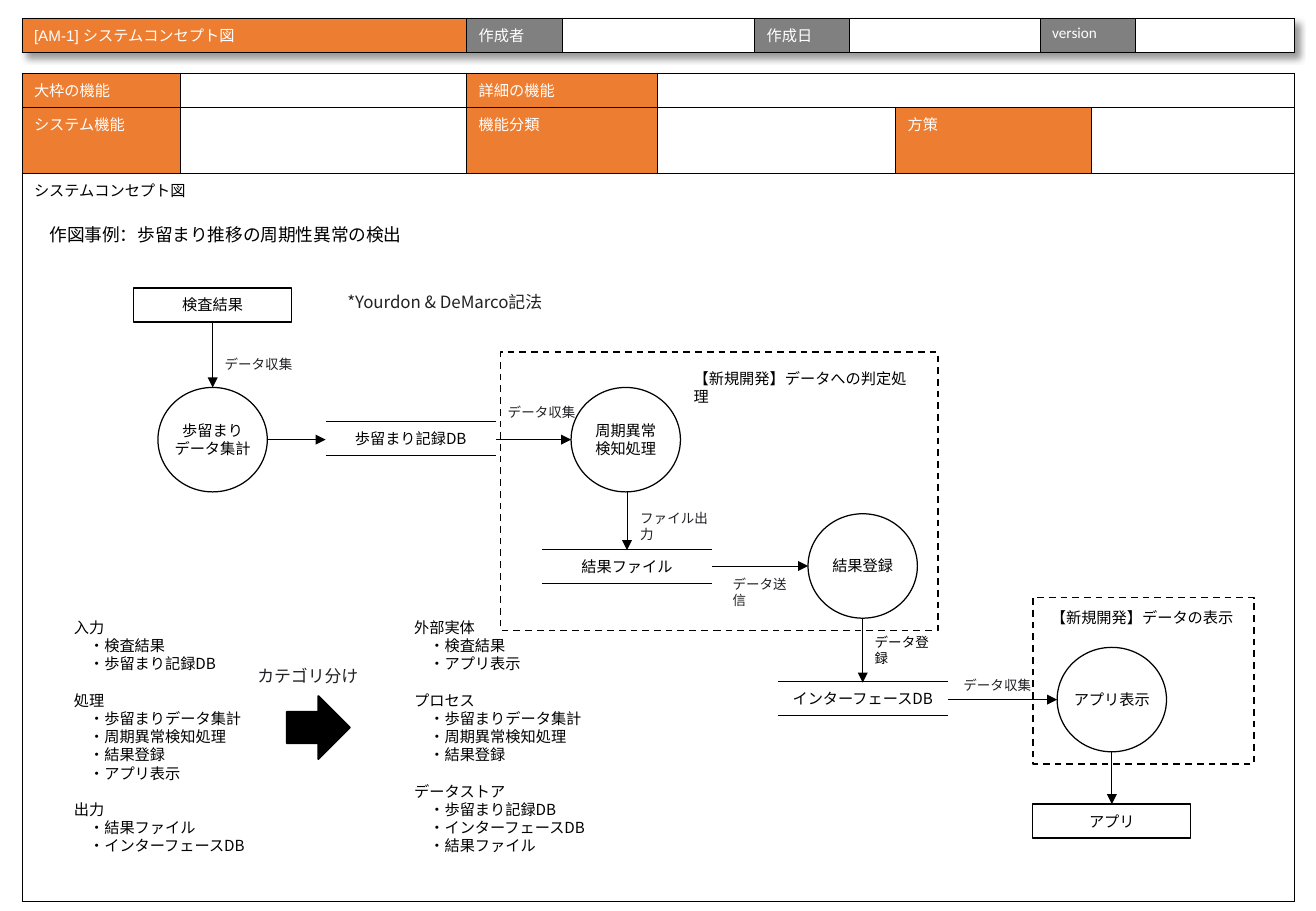
"""Builds the system concept slide: two form tables and a data flow diagram."""
from lxml import etree
from pptx import Presentation
from pptx.dml.color import RGBColor
from pptx.enum.dml import MSO_LINE
from pptx.enum.shapes import MSO_CONNECTOR, MSO_SHAPE
from pptx.enum.text import MSO_ANCHOR, PP_ALIGN
from pptx.oxml.ns import qn
from pptx.util import Inches, Pt

ORANGE = RGBColor(0xED, 0x7D, 0x31)
GRAY = RGBColor(0x80, 0x80, 0x80)
WHITE = RGBColor(0xFF, 0xFF, 0xFF)
BLACK = RGBColor(0x00, 0x00, 0x00)
INK = RGBColor(0x20, 0x21, 0x24)
FONT = "Noto Sans CJK JP"
LATIN = "Calibri"
LEFT, CENTER = PP_ALIGN.LEFT, PP_ALIGN.CENTER
TOP, MIDDLE = MSO_ANCHOR.TOP, MSO_ANCHOR.MIDDLE
STRAIGHT, DASH = MSO_CONNECTOR.STRAIGHT, MSO_LINE.DASH
ELLIPSE, PROCESS = MSO_SHAPE.OVAL, MSO_SHAPE.FLOWCHART_PROCESS
RECTANGLE, RIGHT_ARROW = MSO_SHAPE.RECTANGLE, MSO_SHAPE.RIGHT_ARROW


def add_xml(parent, tag, **attributes):
    return etree.SubElement(parent, qn(tag), attributes)


def write(frame, text, size=9, color=BLACK, font=FONT, align=LEFT, spacing=1.2):
    """Fill a frame: a line break starts a paragraph, a double one a spaced group."""
    paragraph = frame.paragraphs[0]
    for group_index, group in enumerate(text.split("\n\n")):
        for line_index, line in enumerate(group.split("\n")):
            if group_index or line_index:
                paragraph = frame.add_paragraph()
            paragraph.alignment = align
            if spacing:
                paragraph.line_spacing = Pt(size * spacing)
            if group_index and not line_index:
                paragraph.space_before = Pt(size * spacing)
            if line.startswith("・"):
                paragraph._p.get_or_add_pPr().set("marL", str(Pt(size)))
            run = paragraph.add_run()
            run.text = line
            run.font.size = Pt(size)
            run.font.color.rgb = color
            run.font.name = font
            add_xml(run._r.get_or_add_rPr(), "a:ea", typeface=FONT)


class Diagram:
    """Draws the elements of a data flow diagram on one slide."""

    def __init__(self, slide):
        self.shapes = slide.shapes

    def table(self, left, top, columns, rows, cells, merges=()):
        frame = self.shapes.add_table(
            len(rows), len(columns), Inches(left), Inches(top),
            Inches(sum(columns)), Inches(sum(rows)))
        table = frame.table
        table.first_row = table.horz_banding = False
        for column, width in zip(table.columns, columns):
            column.width = Inches(width)
        for row, height in zip(table.rows, rows):
            row.height = Inches(height)
        for row in range(len(rows)):
            for column in range(len(columns)):
                text, fill, color, font = cells.get(
                    (row, column), ("", WHITE, BLACK, LATIN))
                self.cell(table.cell(row, column), text, fill, color, font)
        for first, last in merges:
            table.cell(*first).merge(table.cell(*last))
        return table

    def cell(self, cell, text, fill, color, font):
        properties = cell._tc.get_or_add_tcPr()
        for side in ("L", "R", "T", "B"):
            border = add_xml(properties, f"a:ln{side}", w=str(Pt(0.25)))
            solid = add_xml(border, "a:solidFill")
            add_xml(solid, "a:srgbClr", val=str(BLACK))
        cell.fill.solid()
        cell.fill.fore_color.rgb = fill
        if text:
            write(cell.text_frame, text, color=color, font=font, spacing=None)
        else:
            add_xml(cell.text_frame.paragraphs[0]._p, "a:endParaRPr", sz="900")

    def table_shadow(self, table):
        effects = etree.Element(qn("a:effectLst"))
        shadow = add_xml(effects, "a:outerShdw", blurRad=str(Pt(4)),
                         dist=str(Pt(4)), dir="2700000", algn="tl")
        color = add_xml(shadow, "a:srgbClr", val=str(BLACK))
        add_xml(color, "a:alpha", val="40000")
        table._tbl.tblPr.insert(0, effects)

    def shape(self, kind, left, top, width, height, text="",
              fill=WHITE, line=0.75, dash=None):
        shape = self.shapes.add_shape(
            kind, Inches(left), Inches(top), Inches(width), Inches(height))
        shape.shadow.inherit = False
        if fill is None:
            shape.fill.background()
        else:
            shape.fill.solid()
            shape.fill.fore_color.rgb = fill
        if line:
            shape.line.color.rgb = BLACK
            shape.line.width = Pt(line)
            if dash:
                shape.line.dash_style = dash
        else:
            shape.line.fill.background()
        if text:
            frame = shape.text_frame
            frame.word_wrap = kind != ELLIPSE
            frame.vertical_anchor = MIDDLE
            write(frame, text, align=CENTER)

    def process(self, text, left, top):
        self.shape(ELLIPSE, left, top, 0.9, 0.86, text)

    def entity(self, text, left, top):
        self.shape(PROCESS, left, top, 1.3, 0.28, text)

    def store(self, text, left, top):
        self.shape(PROCESS, left, top, 1.4, 0.28, text, line=None)
        for y in (top, top + 0.28):
            self.line(left, y, left + 1.4, y)

    def scope(self, left, top, width, height):
        self.shape(RECTANGLE, left, top, width, height, fill=None, line=1, dash=DASH)

    def line(self, x1, y1, x2, y2, arrow=False):
        connector = self.shapes.add_connector(
            STRAIGHT, Inches(x1), Inches(y1), Inches(x2), Inches(y2))
        connector.line.color.rgb = BLACK
        connector.line.width = Pt(0.5)
        if arrow:
            add_xml(connector.line._get_or_add_ln(), "a:tailEnd", type="triangle")
        add_xml(connector._element.spPr, "a:effectLst")

    def label(self, text, left, top, width, height=0.25, **style):
        box = self.shapes.add_textbox(
            Inches(left), Inches(top), Inches(width), Inches(height))
        box.text_frame.word_wrap = True
        box.text_frame.vertical_anchor = TOP
        write(box.text_frame, text, **style)


def main():
    presentation = Presentation()
    presentation.slide_width = Inches(10.83)
    presentation.slide_height = Inches(7.5)
    diagram = Diagram(presentation.slides.add_slide(presentation.slide_layouts[6]))

    header = {(0, 0): ("[AM-1] システムコンセプト図", ORANGE, WHITE, "Arial")}
    for column, text in ((1, "作成者"), (3, "作成日"), (5, "version")):
        header[0, column] = (text, GRAY, WHITE, LATIN)
    title_table = diagram.table(
        0.18, 0.15, (3.66, 0.79, 1.58, 0.78, 1.57, 0.78, 1.31), (0.28,), header)
    diagram.table_shadow(title_table)

    form = {(2, 0): ("システムコンセプト図", WHITE, BLACK, LATIN)}
    for position, text in (((0, 0), "大枠の機能"), ((0, 2), "詳細の機能"),
                           ((1, 0), "システム機能"), ((1, 2), "機能分類"),
                           ((1, 4), "方策")):
        form[position] = (text, ORANGE, WHITE, LATIN)
    diagram.table(0.18, 0.6, (1.3, 2.36, 1.57, 1.96, 1.61, 1.67), (0.28, 0.54, 6),
                  form, (((0, 3), (0, 5)), ((2, 0), (2, 5))))

    for text, left, top in (("検査結果", 1.1, 2.37), ("アプリ", 8.5, 6.62)):
        diagram.entity(text, left, top)
    for text, left, top in (("歩留まり\nデータ集計", 1.3, 3.19),
                            ("周期異常\n検知処理", 4.7, 3.19),
                            ("結果登録", 6.65, 4.23), ("アプリ表示", 8.7, 5.33)):
        diagram.process(text, left, top)
    for text, left, top in (("歩留まり記録DB", 2.68, 3.47), ("結果ファイル", 4.46, 4.52),
                            ("インターフェースDB", 6.4, 5.61)):
        diagram.store(text, left, top)
    for flow in ((1.75, 2.64, 1.75, 3.19), (2.2, 3.62, 2.68, 3.62),
                 (4.08, 3.62, 4.7, 3.62), (5.16, 4.05, 5.16, 4.53),
                 (5.86, 4.66, 6.65, 4.66), (7.1, 5.09, 7.1, 5.62),
                 (7.8, 5.76, 8.7, 5.76), (9.15, 6.19, 9.15, 6.62)):
        diagram.line(*flow, arrow=True)
    for text, left, top, width, color in (
            ("データ収集", 1.75, 2.88, 0.82, INK), ("データ収集", 4.08, 3.28, 0.82, INK),
            ("ファイル出力", 5.17, 4.15, 0.82, INK), ("データ送信", 5.93, 4.69, 0.71, INK),
            ("データ登録", 7.1, 5.17, 0.71, BLACK), ("データ収集", 7.83, 5.52, 0.82, INK)):
        diagram.label(text, left, top, width, size=8, color=color)

    diagram.label("作図事例：歩留まり推移の周期性異常の検出", 0.31, 1.79, 3.29, size=10.5)
    diagram.label("*Yourdon & DeMarco記法", 2.76, 2.35, 2.17, size=10, color=INK)
    diagram.label("カテゴリ分け", 2.02, 5.43, 1.16, size=10, color=INK)
    diagram.shape(RIGHT_ARROW, 2.36, 5.73, 0.52, 0.52, fill=BLACK, line=1)
    diagram.label("入力\n・検査結果\n・歩留まり記録DB\n\n"
                  "処理\n・歩留まりデータ集計\n・周期異常検知処理\n・結果登録\n・アプリ表示\n\n"
                  "出力\n・結果ファイル\n・インターフェースDB", 0.51, 5.04, 2.08, 2.07)
    diagram.label("外部実体\n・検査結果\n・アプリ表示\n\n"
                  "プロセス\n・歩留まりデータ集計\n・周期異常検知処理\n・結果登録\n\n"
                  "データストア\n・歩留まり記録DB\n・インターフェースDB\n・結果ファイル",
                  3.31, 5.04, 2.08, 2.07)

    diagram.scope(4.12, 2.9, 3.6, 2.29)
    diagram.scope(8.5, 4.92, 1.82, 1.37)
    diagram.label("【新規開発】データへの判定処理", 5.61, 2.99, 2.02)
    diagram.label("【新規開発】データの表示", 8.55, 4.96, 1.77)
    presentation.save("out.pptx")


if __name__ == "__main__":
    main()
